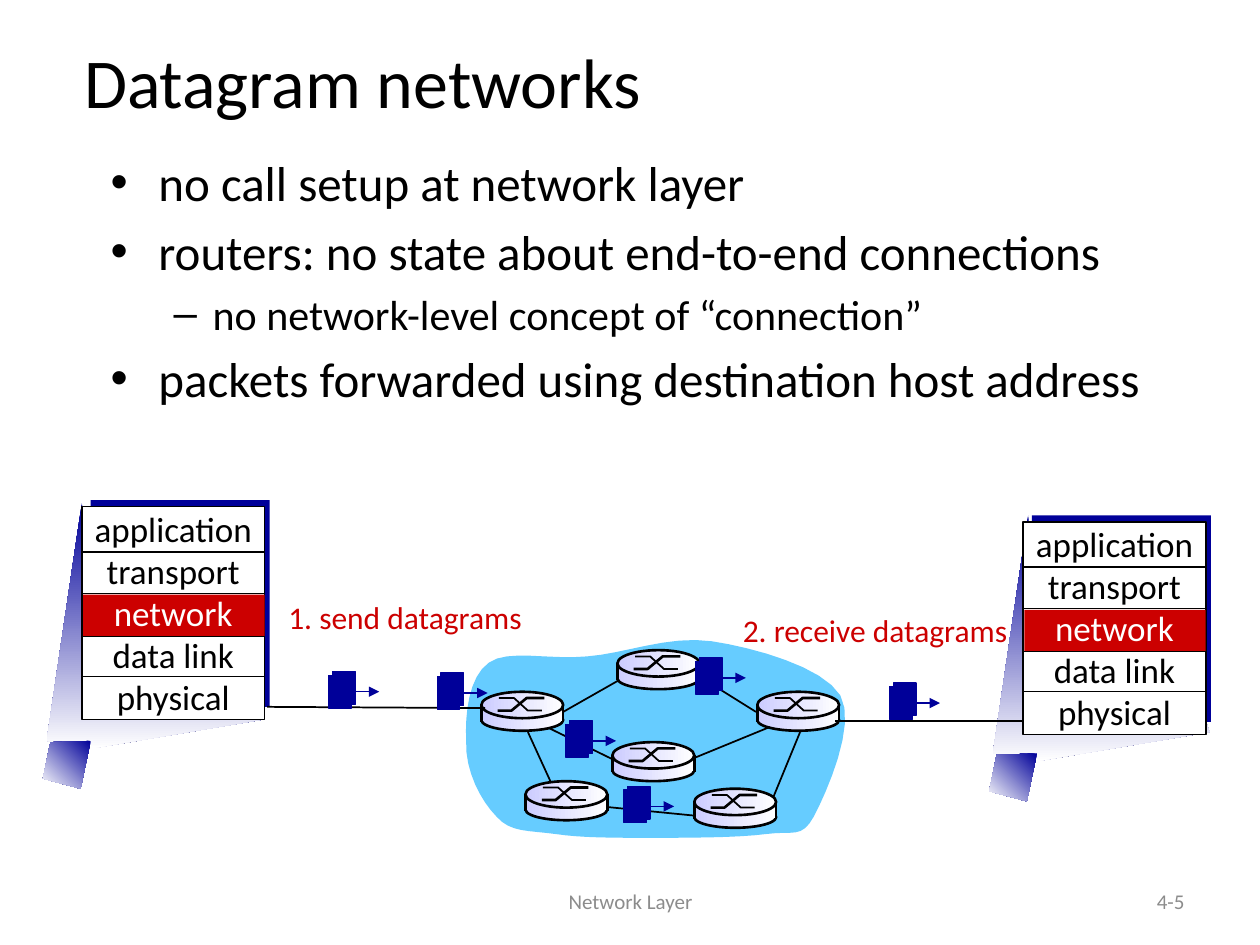
from lxml import etree
from pptx import Presentation
from pptx import util as u
from pptx.dml.color import RGBColor
from pptx.enum import shapes, text
from pptx.oxml.ns import qn

COLORS = {"ink": "000000", "paper": "FFFFFF", "navy": "000099", "red": "CC0000",
          "cloud": "66CCFF", "lilac": "CCCCFF", "gray": "8C8C8C"}
FONT = "Calibri"
LEFT, CENTER, RIGHT = text.PP_ALIGN.LEFT, text.PP_ALIGN.CENTER, text.PP_ALIGN.RIGHT
TOP, MIDDLE = text.MSO_ANCHOR.TOP, text.MSO_ANCHOR.MIDDLE
RECT, OVAL = shapes.MSO_SHAPE.RECTANGLE, shapes.MSO_SHAPE.OVAL

LABELS = [
    ("Network Layer", (3.42, 6.95, 3.17, 0.4), 12, "gray", CENTER, MIDDLE, True),
    ("4-5", (7.17, 6.95, 2.33, 0.4), 12, "gray", RIGHT, MIDDLE, True),
    ("Datagram networks", (0.57, 0.15, 8.5, 0.98), 40, "ink", LEFT, MIDDLE, True),
    ("1. send datagrams", (2.08, 4.7, 2.27, 0.4), 18, "red", CENTER, TOP, False),
    ("2. receive datagrams", (5.68, 4.8, 2.53, 0.4), 18, "red", CENTER, TOP, False),
]
BULLETS = [
    (0, "no call setup at network layer"),
    (0, "routers: no state about end-to-end connections"),
    (1, "no network-level concept of “connection”"),
    (0, "packets forwarded using destination host address"),
]
BULLET_LEVELS = [("•", 0.38, -0.38, 28), ("–", 0.81, -0.31, 24)]

LAYERS = ["application", "transport", "network", "data link", "physical"]
LAYER_RULES = [0.36, 0.69, 1.03, 1.35]
HOSTS = [((0.65, 4.02), (0.37, 3.99)), ((8.12, 4.14), (7.88, 4.09))]
WEDGE = [(0, 1.89), (0.28, 0), (0.36, 1.56), (1.67, 1.57), (1.72, 1.72), (0.36, 1.95)]
FOOT = [(0.35, 1.89), (0.03, 1.9), (-0.03, 2.19), (0.27, 2.27)]

CLOUD_START = (3.7, 5.88)
CLOUD_CURVES = [
    [(3.69, 5.67), (3.72, 5.37), (3.88, 5.26)], [(4.03, 5.15), (4.36, 5.24), (4.66, 5.21)],
    [(4.95, 5.19), (5.31, 5.04), (5.65, 5.09)], [(5.98, 5.14), (6.53, 5.29), (6.67, 5.52)],
    [(6.8, 5.75), (6.56, 6.29), (6.46, 6.48)], [(6.36, 6.66), (6.3, 6.59), (6.08, 6.62)],
    [(5.86, 6.65), (5.43, 6.65), (5.15, 6.65)], [(4.87, 6.65), (4.61, 6.65), (4.41, 6.62)],
    [(4.2, 6.59), (4.05, 6.61), (3.94, 6.48)], [(3.82, 6.36), (3.69, 6.12), (3.7, 5.88)],
]
ROUTERS_BEHIND = [(6.01, 5.49, True), (4.86, 5.89, True), (3.82, 5.49, True)]
ROUTERS_FRONT = [(4.9, 5.16, False), (5.51, 6.26, True), (4.17, 6.2, True)]
CROSS = [([(0.13, 0.15), (0.24, 0.15), (0.36, 0.05), (0.5, 0.05)], 1.5),
         ([(0.14, 0.05), (0.26, 0.05), (0.37, 0.15), (0.48, 0.15)], 1)]
LINKS = [
    ((2.12, 5.61), (3.85, 5.62)), ((4.47, 5.65), (4.98, 5.36)), ((5.52, 5.35), (6, 5.65)),
    ((4.36, 5.78), (4.89, 6.04)), ((5.5, 6.02), (6.11, 5.77)), ((6.12, 6.37), (6.35, 5.81)),
    ((5.58, 6.48), (4.77, 6.4)), ((4.4, 6.27), (4.19, 5.81)), ((8.12, 5.72), (6.63, 5.72)),
]
PACKETS = [(2.61, 5.33), (3.47, 5.34), (5.52, 5.22), (4.95, 6.24), (4.49, 5.72), (7.06, 5.42)]


def rgb(name):
    return RGBColor.from_string(COLORS[name])


def moved(points, x, y):
    return [(x + dx, y + dy) for dx, dy in points]


def paint(shape, fill=None, line=None, width=1.0, angle=0):
    shape.shadow.inherit = False
    if isinstance(fill, tuple):
        shape.fill.gradient()
        shape.fill.gradient_angle = -angle % 360
        for stop, name, position in zip(shape.fill.gradient_stops, fill, (0, 1)):
            stop.color.rgb, stop.position = rgb(name), position
    elif fill:
        shape.fill.solid()
        shape.fill.fore_color.rgb = rgb(fill)
    else:
        shape.fill.background()
    if line:
        shape.line.color.rgb, shape.line.width = rgb(line), u.Pt(width)
    else:
        shape.line.fill.background()


def add_box(parent, kind, box, *style):
    paint(parent.add_shape(kind, *map(u.Inches, box)), *style)


def add_outline(parent, points, closed, *style):
    points = [(u.Inches(x), u.Inches(y)) for x, y in points]
    builder = parent.build_freeform(*points[0])
    builder.add_line_segments(points[1:], close=closed)
    paint(builder.convert_to_shape(), *style)


def add_line(parent, start, end, width, color="ink", arrow=False):
    line = parent.add_connector(shapes.MSO_CONNECTOR.STRAIGHT, *map(u.Inches, start + end))
    line.line.color.rgb, line.line.width = rgb(color), u.Pt(width)
    properties = line._element.spPr
    if arrow:
        etree.SubElement(properties.find(qn("a:ln")), qn("a:tailEnd"), type="triangle")
    etree.SubElement(properties, qn("a:effectLst"))


def add_frame(parent, box, anchor=TOP, wrap=True):
    frame = parent.add_textbox(*map(u.Inches, box)).text_frame
    frame.word_wrap, frame.vertical_anchor = wrap, anchor
    return frame


def add_paragraph(frame, index, words, size, color, align=LEFT, bullet=None):
    paragraph = frame.add_paragraph() if index else frame.paragraphs[0]
    paragraph.alignment = align
    if bullet:
        mark, margin, indent = bullet
        properties = paragraph._p.get_or_add_pPr()
        properties.set("marL", str(u.Inches(margin)))
        properties.set("indent", str(u.Inches(indent)))
        if index:
            paragraph.space_before = u.Pt(round(size * 0.2, 1))
        etree.SubElement(properties, qn("a:buFont"), typeface="Arial")
        etree.SubElement(properties, qn("a:buChar"), char=mark)
    run = paragraph.add_run()
    run.text = words
    for name, value in {"name": FONT, "size": u.Pt(size)}.items():
        setattr(run.font, name, value)
    run.font.color.rgb = rgb(color)


def add_host(parent, stack, wedge):
    group = parent.add_group_shape().shapes
    x, y = stack
    add_outline(group, moved(WEDGE, *wedge), True, ("navy", "paper"), None, 1, 90)
    add_outline(group, moved(FOOT, *wedge), True, ("navy", "paper"), None, 1, 135)
    add_box(group, RECT, (x + 0.07, y - 0.05, 1.42, 1.64), "navy")
    add_box(group, RECT, (x, y, 1.45, 1.69), "paper", "ink", 1)
    add_box(group, RECT, (x + 0.01, y + 0.7, 1.44, 0.33), "red")
    frame = add_frame(group, (x - 0.13, y - 0.04, 1.71, 1.77))
    for index, layer in enumerate(LAYERS):
        add_paragraph(frame, index, layer, 20, "paper" if layer == "network" else "ink", CENTER)
    for rule in LAYER_RULES:
        add_line(group, (x, y + rule), (x + 1.45, y + rule), 0.75)


def add_router(parent, x, y, right_wall):
    group = parent.add_group_shape().shapes
    metal = ("lilac", "paper")
    add_box(group, OVAL, (x, y + 0.14, 0.65, 0.17), metal, "ink", 1.5)
    add_box(group, RECT, (x, y + 0.12, 0.65, 0.11), metal)
    add_box(group, OVAL, (x, y, 0.65, 0.21), metal, "ink", 1.5)
    for points, width in CROSS:
        add_outline(group, moved(points, x, y), False, None, "ink", width)
    for wall in (x, x + 0.65)[:1 + right_wall]:
        add_line(group, (wall, y + 0.1), (wall, y + 0.24), 1.5)


def add_packet(parent, x, y):
    group = parent.add_group_shape().shapes
    for dx, dy in ((0.03, 0), (0, 0.03)):
        add_box(group, RECT, (x + dx, y + dy, 0.18, 0.26), "navy", "navy", 0.75)
    add_line(group, (x + 0.18, y + 0.16), (x + 0.4, y + 0.16), 0.75, "navy", True)


def curve_points(start, curves, steps=8):
    points = [start]
    for a, b, c in curves:
        origin = points[-1]
        for t in (step / steps for step in range(1, steps + 1)):
            weights = ((1 - t) ** 3, 3 * t * (1 - t) ** 2, 3 * t * t * (1 - t), t ** 3)
            points.append(tuple(sum(w * p[axis] for w, p in zip(weights, (origin, a, b, c)))
                                for axis in (0, 1)))
    return points[:-1]


def main():
    presentation = Presentation()
    presentation.slide_width, presentation.slide_height = u.Inches(10), u.Inches(7.5)
    slide = presentation.slides.add_slide(presentation.slide_layouts[6])
    canvas = slide.shapes
    for words, box, size, color, align, anchor, wrap in LABELS:
        add_paragraph(add_frame(canvas, box, anchor, wrap), 0, words, size, color, align)
    body = add_frame(canvas, (0.78, 1.16, 8.83, 2.49))
    for index, (level, words) in enumerate(BULLETS):
        mark, margin, indent, size = BULLET_LEVELS[level]
        add_paragraph(body, index, words, size, "ink", LEFT, (mark, margin, indent))
    for stack, wedge in reversed(HOSTS):
        add_host(canvas, stack, wedge)
    add_outline(canvas, curve_points(CLOUD_START, CLOUD_CURVES), True, "cloud")
    for router in ROUTERS_BEHIND:
        add_router(canvas, *router)
    for start, end in LINKS:
        add_line(canvas, start, end, 1)
    for router in ROUTERS_FRONT:
        add_router(canvas, *router)
    for packet in PACKETS:
        add_packet(canvas, *packet)
    presentation.save("out.pptx")


if __name__ == "__main__":
    main()
